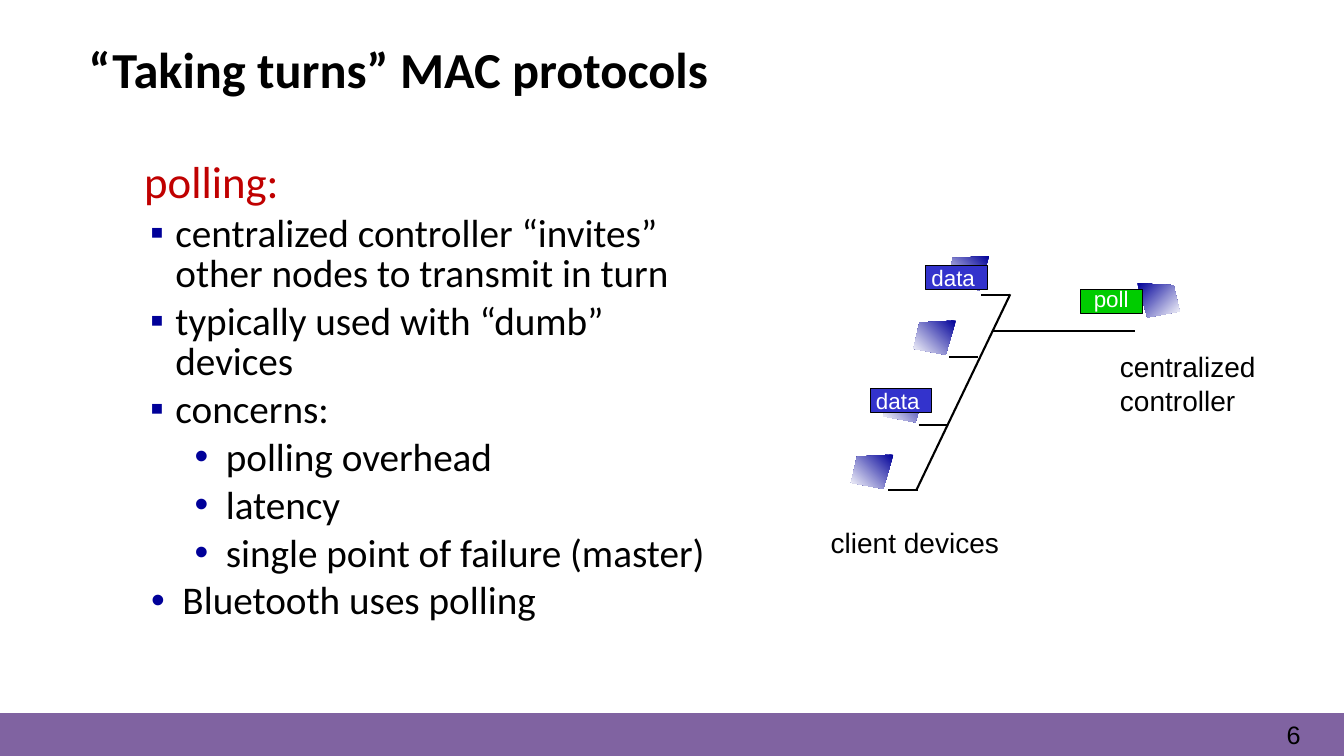
from lxml.etree import SubElement
from pptx import Presentation
from pptx.dml.color import RGBColor
from pptx.enum.shapes import MSO_CONNECTOR, MSO_SHAPE
from pptx.enum.text import MSO_ANCHOR, MSO_AUTO_SIZE, PP_ALIGN
from pptx.oxml.ns import qn
from pptx.util import Inches, Pt

COLORS = {
    "black": "000000", "white": "FFFFFF", "bar": "8063A1", "heading": "C00000",
    "navy": "000099", "data": "3333CC", "poll": "00CC00",
}


class SlideBuilder:
    """Holds the style and the current slide."""

    def __init__(self, prs):
        """Add a title and content slide."""
        self.s = prs.slides.add_slide(prs.slide_layouts[1])

    def color(self, name):
        """Return the named colour."""
        return RGBColor.from_string(COLORS[name])

    def place(self, sp, x, y, w, h):
        """Move and size a shape."""
        sp.left, sp.top, sp.width, sp.height = map(Inches, (x, y, w, h))

    def style(self, p, size, color="black", font="Calibri", bold=False):
        """Format the runs of a paragraph."""
        for r in p.runs:
            r.font.size, r.font.name, r.font.bold = Pt(size), font, bold
            r.font.color.rgb = self.color(color)

    def indent(self, p, margin, first):
        """Set the left margin and first-line indent."""
        pPr = p._p.get_or_add_pPr()
        pPr.set("marL", str(Inches(margin)))
        pPr.set("indent", str(Inches(first)))
        return pPr

    def title(self, text, box):
        """Fill the title placeholder."""
        sp = self.s.shapes.title
        self.place(sp, *box)
        tf = sp.text_frame
        tf.text = text
        tf.auto_size = MSO_AUTO_SIZE.NONE
        tf.vertical_anchor = MSO_ANCHOR.TOP
        tf.margin_left = tf.margin_top = tf.margin_right = tf.margin_bottom = 0
        p = tf.paragraphs[0]
        p.alignment = PP_ALIGN.LEFT
        self.style(p, 36, bold=True)

    def body(self, heading, items, box):
        """Fill the body placeholder with a heading and bullets."""
        sp = self.s.placeholders[1]
        self.place(sp, *box)
        tf = sp.text_frame
        tf.auto_size = MSO_AUTO_SIZE.NONE
        tf.text = heading
        p = tf.paragraphs[0]
        SubElement(self.indent(p, 0.38, -0.38), qn("a:buNone"))
        p.line_spacing, p.space_before = 0.85, Pt(0)
        self.style(p, 32, "heading")
        for text, level, bullet, margin, first in items:
            p = tf.add_paragraph()
            p.text, p.level = text, level
            pPr = self.indent(p, margin, first)
            clr = SubElement(pPr, qn("a:buClr"))
            SubElement(clr, qn("a:srgbClr"), val=COLORS["navy"])
            SubElement(pPr, qn("a:buChar"), char=bullet)
            p.line_spacing, p.space_before = 0.85, Pt(5.6)
            self.style(p, 28)

    def label(self, text, box, size=20, color="black", wrap=False):
        """Add an Arial text box."""
        sp = self.s.shapes.add_textbox(*map(Inches, box))
        tf = sp.text_frame
        tf.text, tf.word_wrap = text, wrap
        tf.auto_size = MSO_AUTO_SIZE.SHAPE_TO_FIT_TEXT
        self.style(tf.paragraphs[0], size, color, "Arial")
        return tf

    def page_number(self, text, box):
        """Add the slide number."""
        tf = self.label(text, box, 18, wrap=True)
        tf.margin_left = tf.margin_top = tf.margin_right = tf.margin_bottom = 0
        p = tf.paragraphs[0]
        self.indent(p, 0.18, 0)
        p.line_spacing = Pt(20.9)

    def rect(self, box, fill, line, width=0.75):
        """Add a filled rectangle."""
        sp = self.s.shapes.add_shape(MSO_SHAPE.RECTANGLE, *map(Inches, box))
        sp.shadow.inherit = False
        sp.fill.solid()
        sp.fill.fore_color.rgb = self.color(fill)
        sp.line.color.rgb = self.color(line)
        sp.line.width = Pt(width)

    def packet(self, text, x, y, fill, label_box):
        """Add a packet with its label."""
        self.rect((x, y, 0.61, 0.24), fill, "black")
        self.label(text, label_box, 16, "white")

    def screen(self, x, y, mirrored=False):
        """Add a tilted screen with a gradient."""
        outline = [(0.42, 0), (0.06, 0.02), (0, 0.28), (0.32, 0.34)]
        if mirrored:
            outline = [(0.42 - dx, dy) for dx, dy in outline]
        pts = [(Inches(x + dx), Inches(y + dy)) for dx, dy in outline]
        fb = self.s.shapes.build_freeform(*pts[0])
        fb.add_line_segments(pts[1:], close=True)
        sp = fb.convert_to_shape()
        sp.shadow.inherit = False
        sp.line.fill.background()
        sp.fill.gradient()
        sp.fill.gradient_angle = 315 if mirrored else 225
        for stop, name in zip(sp.fill.gradient_stops, ("navy", "white")):
            stop.color.rgb = self.color(name)

    def line(self, x1, y1, x2, y2):
        """Add a black cable."""
        cn = self.s.shapes.add_connector(
            MSO_CONNECTOR.STRAIGHT, *map(Inches, (x1, y1, x2, y2)))
        cn.line.color.rgb = self.color("black")
        cn.line.width = Pt(1.5)
        SubElement(cn._element.spPr, qn("a:effectLst"))


def main():
    """Build and save the slide."""
    prs = Presentation()
    prs.slide_width, prs.slide_height = Inches(13.33), Inches(7.5)
    b = SlideBuilder(prs)
    b.rect((0, 7.08, 13.33, 0.42), "bar", "bar", 1)
    b.page_number("6", (12.58, 7.15, 0.71, 0.31))
    b.title("“Taking turns” MAC protocols", (0.88, 0.38, 11.5, 0.98))

    main_bullet, sub_bullet = (0, "▪", 0.31, -0.25), (1, "•", 0.81, -0.31)
    b.body("polling:", [
        ("centralized controller “invites” other nodes to transmit in turn", *main_bullet),
        ("typically used with “dumb” devices", *main_bullet),
        ("concerns:", *main_bullet),
        ("polling overhead", *sub_bullet),
        ("latency", *sub_bullet),
        ("single point of failure (master)", *sub_bullet),
        ("Bluetooth uses polling", 0, "•", 0.38, -0.31),
    ], (1.33, 1.56, 6, 5.54))

    for x, y in ((8.44, 4.51), (8.76, 3.85), (9.06, 3.18), (9.39, 2.54)):
        b.screen(x, y)
    b.screen(11.28, 2.81, mirrored=True)

    b.label("centralized controller", (11.01, 3.42, 1.74, 0.77), wrap=True)
    b.label("client devices", (8.14, 5.16, 1.95, 0.44))
    b.packet("poll", 10.72, 2.87, "poll", (10.75, 2.78, 0.55, 0.37))
    for x, y in ((8.63, 3.85), (9.18, 2.63)):
        b.packet("data", x, y, "data", (x - 0.04, y - 0.06, 0.63, 0.37))

    b.line(9.85, 3.28, 11.26, 3.28)
    b.line(9.09, 4.86, 10.02, 2.92)
    for x, y in ((9.73, 2.93), (9.41, 3.54), (9.11, 4.22), (8.81, 4.86)):
        b.line(x, y, x + 0.29, y)
    prs.save("out.pptx")


if __name__ == "__main__":
    main()
